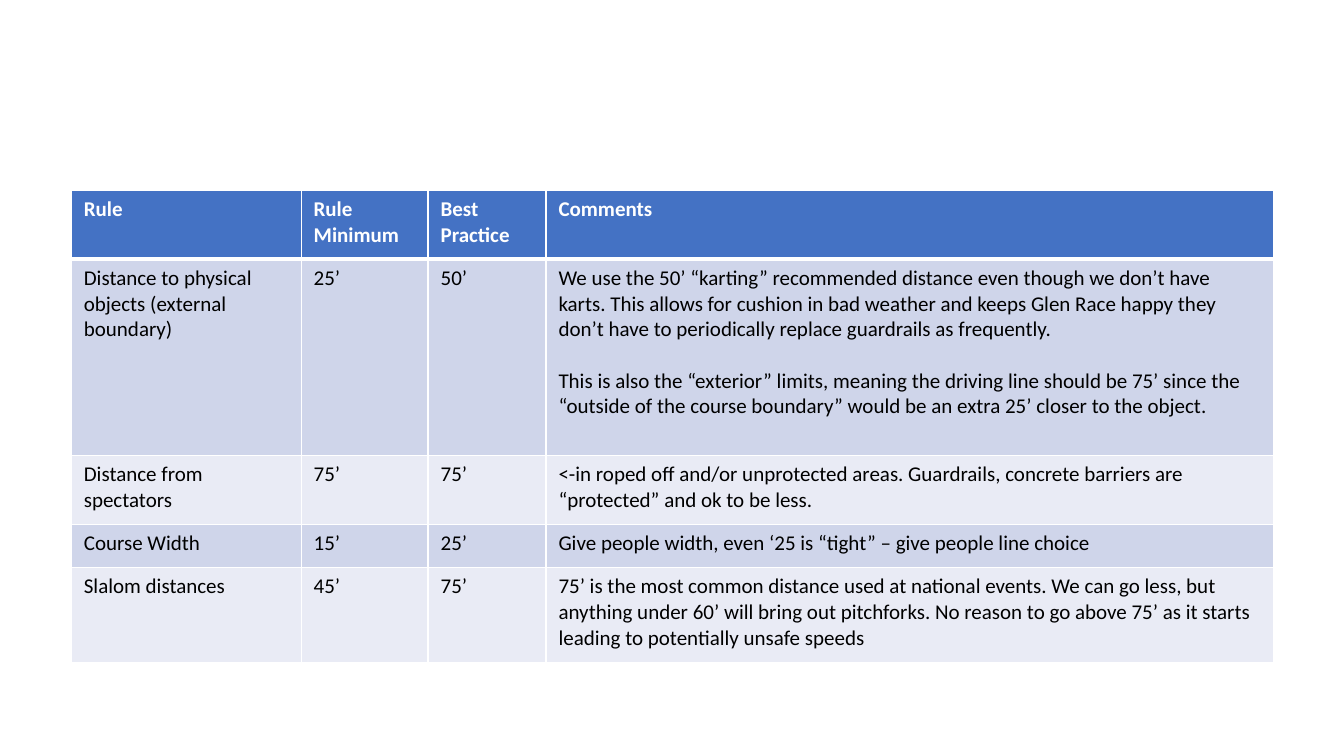
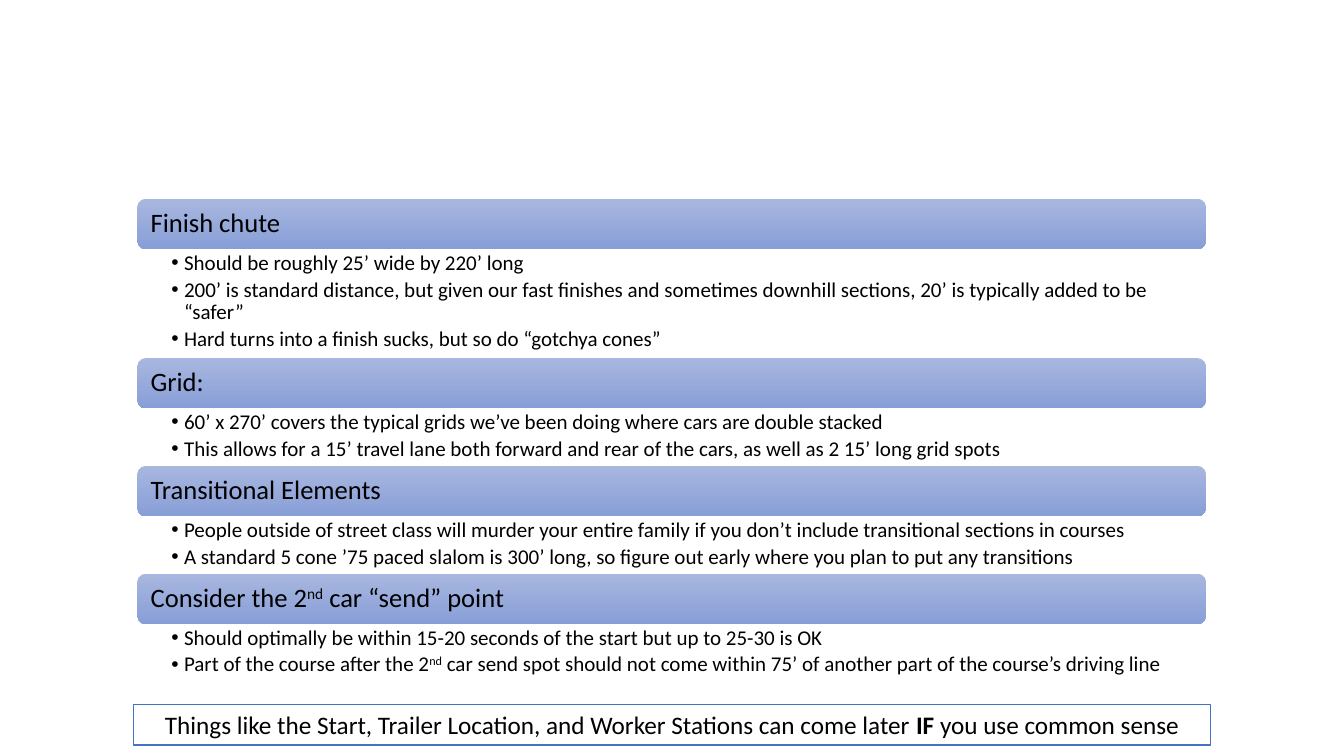
from lxml.etree import SubElement
from pptx import Presentation
from pptx.dml.color import RGBColor
from pptx.enum.shapes import MSO_SHAPE
from pptx.enum.text import MSO_ANCHOR, PP_ALIGN
from pptx.oxml import parse_xml
from pptx.oxml.ns import nsdecls, qn
from pptx.util import Pt

# Shared look
FONT = "Calibri"
BODY_SIZE, BAND_SIZE, NOTE_SIZE = 15, 19, 18
COLORS = {
    "text": "000000", "white": "FFFFFF", "accent": "4472C4",
    "row_dark": "CFD5EA", "row_light": "E9EBF5",
    "band_top": "A8B7DF", "band_bottom": "889ED7",
}

# Content: a paragraph is a list of spans, each (text, style)
RULE_ROWS = [
    ("Rule", "Rule Minimum", "Best Practice", ["Comments"]),
    ("Distance to physical objects (external boundary)", "25’", "50’", [
        "We use the 50’ “karting” recommended distance even though we don’t have karts. "
        "This allows for cushion in bad weather and keeps Glen Race happy they don’t "
        "have to periodically replace guardrails as frequently.",
        "This is also the “exterior” limits, meaning the driving line should be 75’ since "
        "the “outside of the course boundary” would be an extra 25’ closer to the object."]),
    ("Distance from spectators", "75’", "75’", [
        "<-in roped off and/or unprotected areas. Guardrails, concrete barriers are "
        "“protected” and ok to be less."]),
    ("Course Width", "15’", "25’", [
        "Give people width, even ‘25 is “tight” – give people line choice"]),
    ("Slalom distances", "45’", "75’", [
        "75’ is the most common distance used at national events. We can go less, but "
        "anything under 60’ will bring out pitchforks. No reason to go above 75’ as it "
        "starts leading to potentially unsafe speeds"]),
]
COLUMN_WIDTHS = [164.2, 90.7, 84.2, 519.8]
ROW_HEIGHTS = [49, 140.4, 49, 31, 67.5]

# Heading, height of the bullet box, bullets
SECTIONS = [
    ([("Finish chute", "")], 77.8, [
        [("Should be roughly 25’ wide by 220’ long", "")],
        [("200’ is standard distance, but given our fast finishes and sometimes downhill "
          "sections, 20’ is typically added to be “safer”", "")],
        [("Hard turns into a finish sucks, but so do “gotchya cones”", "")]]),
    ([("Grid:", "")], 41, [
        [("60’ x 270’ covers the typical grids we’ve been doing where cars are double "
          "stacked", "")],
        [("This allows for a 15’ travel lane both forward and rear of the cars, as well as "
          "2 15’ long grid spots", "")]]),
    ([("Transitional Elements", "")], 41, [
        [("People outside of street class will murder your entire family if you don’t "
          "include transitional sections in courses", "")],
        [("A standard 5 cone ’75 paced slalom is 300’ long, so figure out early where you "
          "plan to put any transitions", "")]]),
    ([("Consider the 2", ""), ("nd", "super"), (" car “send” point", "")], 41, [
        [("Should optimally be within 15-20 seconds of the start but up to 25-30 is OK", "")],
        [("Part of the course after the 2", ""), ("nd", "super"),
         (" car send spot should not come within 75’ of another part of the course’s "
          "driving line", "")]]),
]
CLOSING_NOTE = [
    ("Things like the Start, Trailer Location, and Worker Stations can come later ", ""),
    ("IF ", "bold"), ("you use common sense", "")]


def rgb(name):
    return RGBColor.from_string(COLORS[name])


def add_spans(para, spans, size, color="text"):
    for text, style in spans:
        span = para.add_run()
        span.text = text
        span.font.name, span.font.size = FONT, Pt(size)
        span.font.bold = style == "bold"
        span.font.color.rgb = rgb(color)
        if style == "super":
            span._r.get_or_add_rPr().set("baseline", "30000")


def set_margins(target, left, top, right, bottom):
    target.margin_left, target.margin_top = Pt(left), Pt(top)
    target.margin_right, target.margin_bottom = Pt(right), Pt(bottom)


def next_para(frame, index):
    return frame.add_paragraph() if index else frame.paragraphs[0]


def add_borders(cell, top, bottom):
    properties = cell._tc.get_or_add_tcPr()
    widths = {"lnL": 1, "lnR": 1, "lnT": top, "lnB": bottom}
    for position, (tag, width) in enumerate(widths.items()):
        line = parse_xml(f'<a:{tag} {nsdecls("a")} w="{Pt(width)}"><a:solidFill>'
                         f'<a:srgbClr val="{COLORS["white"]}"/></a:solidFill></a:{tag}>')
        properties.insert(position, line)


def add_bullet(para, indent):
    properties = para._p.get_or_add_pPr()
    properties.set("marL", str(Pt(indent)))
    properties.set("indent", str(-Pt(indent)))
    SubElement(properties, qn("a:buFont")).set("typeface", "Arial")
    SubElement(properties, qn("a:buChar")).set("char", "•")


def build_rules(page):
    table = page.shapes.add_table(
        len(ROW_HEIGHTS), len(COLUMN_WIDTHS), Pt(50.9), Pt(136.1),
        Pt(sum(COLUMN_WIDTHS)), Pt(sum(ROW_HEIGHTS))).table
    for column, width in zip(table.columns, COLUMN_WIDTHS):
        column.width = Pt(width)
    for r, (values, height) in enumerate(zip(RULE_ROWS, ROW_HEIGHTS)):
        table.rows[r].height = Pt(height)
        header = r == 0
        fill = "accent" if header else ("row_dark" if r % 2 else "row_light")
        *short_values, comments = values
        for c, texts in enumerate([[value] for value in short_values] + [comments]):
            cell = table.cell(r, c)
            cell.fill.solid()
            cell.fill.fore_color.rgb = rgb(fill)
            set_margins(cell, 9, 4.5, 9, 4.5)
            add_borders(cell, 3 if r == 1 else 1, 3 if header else 1)
            for index, text in enumerate(texts):
                para = next_para(cell.text_frame, index)
                if index:
                    para.space_before = Pt(18.3)
                add_spans(para, [(text, "bold" if header else "")], BODY_SIZE,
                          "white" if header else "text")


def add_band(page, left, top, width, height, heading):
    band = page.shapes.add_shape(MSO_SHAPE.ROUNDED_RECTANGLE,
                                 Pt(left), Pt(top), Pt(width), Pt(height))
    band.shadow.inherit = False
    band.line.fill.background()
    band.fill.gradient()
    band.fill.gradient_angle = 270
    for stop, color in zip(band.fill.gradient_stops, ("band_top", "band_bottom")):
        stop.color.rgb = rgb(color)
    frame = band.text_frame
    frame.vertical_anchor = MSO_ANCHOR.MIDDLE
    set_margins(frame, 7.7, 5, 7.7, 5)
    para = frame.paragraphs[0]
    para.alignment, para.line_spacing = PP_ALIGN.LEFT, 0.9
    add_spans(para, heading, BAND_SIZE)


def add_bullets(page, left, top, width, height, bullets):
    box = page.shapes.add_textbox(Pt(left), Pt(top), Pt(width), Pt(height))
    frame = box.text_frame
    frame.word_wrap = True
    set_margins(frame, 24.3, 2, 10.7, 2)
    for index, spans in enumerate(bullets):
        para = next_para(frame, index)
        para.line_spacing, para.space_after = 0.9, Pt(3)
        add_bullet(para, 9)
        add_spans(para, spans, BODY_SIZE)


def build_elements(page):
    left, top, width, band_height = 98.2, 142, 763.2, 36
    for heading, height, bullets in SECTIONS:
        add_band(page, left, top, width, band_height, heading)
        top += band_height
        add_bullets(page, left, top, width, height, bullets)
        top += height

    # Closing note
    note = page.shapes.add_shape(MSO_SHAPE.RECTANGLE, Pt(95.2), Pt(503.2), Pt(769.6), Pt(29))
    note.shadow.inherit = False
    note.fill.solid()
    note.fill.fore_color.rgb = rgb("white")
    note.line.color.rgb, note.line.width = rgb("accent"), Pt(1)
    note.text_frame.vertical_anchor = MSO_ANCHOR.TOP
    note.text_frame.word_wrap = True
    para = note.text_frame.paragraphs[0]
    para.alignment = PP_ALIGN.CENTER
    add_spans(para, CLOSING_NOTE, NOTE_SIZE)


def main():
    deck = Presentation()
    deck.slide_width, deck.slide_height = Pt(960), Pt(540)
    for build in (build_rules, build_elements):
        build(deck.slides.add_slide(deck.slide_layouts[6]))
    deck.save("out.pptx")


if __name__ == "__main__":
    main()
